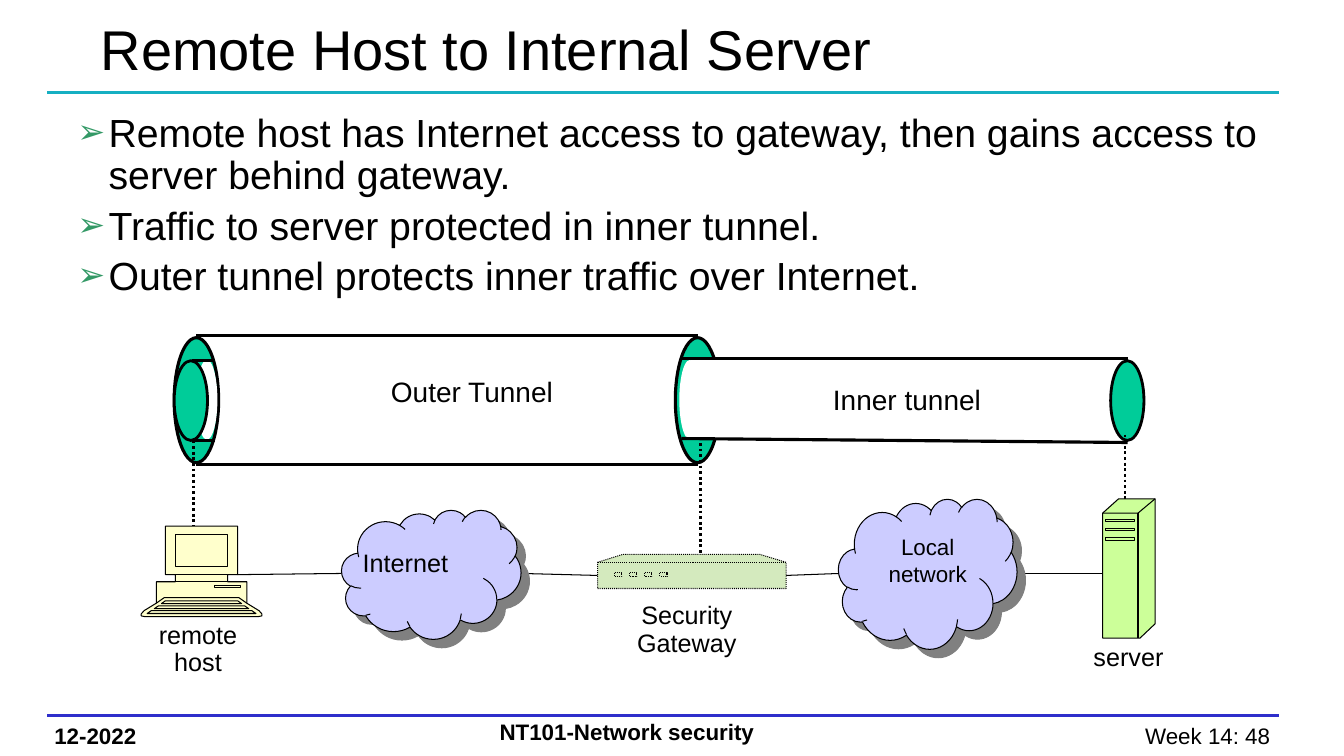
from dataclasses import dataclass

from lxml import etree
from pptx import Presentation
from pptx.dml.color import RGBColor
from pptx.enum.dml import MSO_LINE
from pptx.enum.shapes import MSO_CONNECTOR, MSO_SHAPE
from pptx.enum.text import MSO_ANCHOR, PP_ALIGN
from pptx.oxml.ns import qn
from pptx.util import Cm, Pt

LEFT, CENTER, RIGHT = PP_ALIGN.LEFT, PP_ALIGN.CENTER, PP_ALIGN.RIGHT
TOP, MIDDLE = MSO_ANCHOR.TOP, MSO_ANCHOR.MIDDLE
ELLIPSE, RECTANGLE, CLOUD = MSO_SHAPE.OVAL, MSO_SHAPE.RECTANGLE, MSO_SHAPE.CLOUD
STRAIGHT, DOTTED = MSO_CONNECTOR.STRAIGHT, MSO_LINE.ROUND_DOT

BLACK = RGBColor(0x00, 0x00, 0x00)
WHITE = RGBColor(0xFF, 0xFF, 0xFF)
TEAL = RGBColor(0x16, 0xAF, 0xC2)
BLUE = RGBColor(0x2E, 0x2E, 0xCB)
GREEN = RGBColor(0x00, 0xCC, 0x99)
BULLET_GREEN = RGBColor(0x33, 0x99, 0x66)
LILAC = RGBColor(0xCC, 0xCC, 0xFF)
SHADOW_GRAY = RGBColor(0x80, 0x80, 0x80)
CREAM = RGBColor(0xFF, 0xFF, 0xCC)
SAGE = RGBColor(0xD4, 0xEA, 0xBE)
LIME = RGBColor(0xCC, 0xFF, 0x99)

Contour = list[tuple[float, float]]


@dataclass
class Label:
    lines: list[str]
    at: tuple[float, float, float, float]
    size: int
    align: PP_ALIGN = LEFT
    bold: bool = False
    anchor: MSO_ANCHOR = TOP
    wrap: bool = True
    spacing: float = 1.0
    before: float = 0
    bullet: str = ""
    side_inset: float = 0.25


@dataclass
class Figure:
    kind: MSO_SHAPE
    at: tuple[float, float, float, float]
    fill: RGBColor
    outline: float = 0
    shadow: bool = False


@dataclass
class Line:
    start: tuple[float, float]
    end: tuple[float, float]
    weight: float
    color: RGBColor = BLACK
    dash: MSO_LINE | None = None


@dataclass
class Device:
    outline: Contour
    details: list[Contour]
    fill: RGBColor
    dash: MSO_LINE | None = None


def add_bullet(para, char: str) -> None:
    props = para._p.get_or_add_pPr()
    props.set("marL", str(Cm(2.06)))
    props.set("indent", str(Cm(-0.79)))
    color = etree.SubElement(props, qn("a:buClr"))
    etree.SubElement(color, qn("a:srgbClr"), val=str(BULLET_GREEN))
    etree.SubElement(props, qn("a:buSzPct"), val="85000")
    etree.SubElement(props, qn("a:buFont"), typeface="Arial")
    etree.SubElement(props, qn("a:buChar"), char=char)


def fill_text(frame, label: Label) -> None:
    frame.word_wrap = label.wrap
    frame.vertical_anchor = label.anchor
    frame.margin_left = frame.margin_right = Cm(label.side_inset)
    for index, line in enumerate(label.lines):
        para = frame.add_paragraph() if index else frame.paragraphs[0]
        para.text = line
        para.alignment = label.align
        para.line_spacing = label.spacing
        para.space_before = Pt(label.before)
        if label.bullet:
            add_bullet(para, label.bullet)
        para.font.name, para.font.size = "Arial", Pt(label.size)
        para.font.bold, para.font.color.rgb = label.bold, BLACK


def draw_label(page, label: Label) -> None:
    box = page.shapes.add_textbox(*map(Cm, label.at))
    fill_text(box.text_frame, label)


def draw_figure(page, figure: Figure):
    shape = page.shapes.add_shape(figure.kind, *map(Cm, figure.at))
    shape.shadow.inherit = False
    shape.fill.solid()
    shape.fill.fore_color.rgb = figure.fill
    if figure.outline:
        shape.line.color.rgb, shape.line.width = BLACK, Pt(figure.outline)
    else:
        shape.line.fill.background()
    if figure.shadow:
        effects = shape._element.spPr.find(qn("a:effectLst"))
        outer = etree.SubElement(effects, qn("a:outerShdw"), dist=str(Pt(8.5)), dir="2700000")
        etree.SubElement(outer, qn("a:srgbClr"), val=str(SHADOW_GRAY))
    return shape


def draw_line(page, line: Line) -> None:
    connector = page.shapes.add_connector(STRAIGHT, *map(Cm, line.start + line.end))
    connector.line.color.rgb, connector.line.width = line.color, Pt(line.weight)
    if line.dash:
        connector.line.dash_style = line.dash
    etree.SubElement(connector._element.spPr, qn("a:effectLst"))


def draw_contours(page, contours: list[Contour], fill: RGBColor | None, dash: MSO_LINE | None) -> None:
    scaled = [[(Cm(x), Cm(y)) for x, y in contour] for contour in contours]
    builder = page.shapes.build_freeform(*scaled[0][0])
    for index, contour in enumerate(scaled):
        if index:
            builder.move_to(*contour[0])
        builder.add_line_segments(contour[1:], close=fill is not None)
    shape = builder.convert_to_shape()
    shape.shadow.inherit = False
    if fill is None:
        shape.fill.background()
    else:
        shape.fill.solid()
        shape.fill.fore_color.rgb = fill
    shape.line.color.rgb, shape.line.width = BLACK, Pt(0.75)
    if dash:
        shape.line.dash_style = dash


def draw_device(page, device: Device) -> None:
    draw_contours(page, [device.outline], device.fill, device.dash)
    draw_contours(page, device.details, None, device.dash)


def frame_of(left: float, top: float, right: float, bottom: float) -> Contour:
    return [(left, top), (right, top), (right, bottom), (left, bottom), (left, top)]


def mirrored(half: Contour, axis: float = 5.08) -> Contour:
    return [(axis - dx, y) for dx, y in reversed(half)] + [(axis + dx, y) for dx, y in half]


def closed(contour: Contour) -> Contour:
    return contour + contour[:1]


# Title, bullets and footer
FRAME_LABELS = [
    Label(["Remote Host to Internal Server"], (2.29, 0.1, 20.4, 2.21), 40, anchor=MIDDLE),
    Label(["Remote host has Internet access to gateway, then gains access to server behind gateway.",
           "Traffic to server protected in inner tunnel.",
           "Outer tunnel protects inner traffic over Internet."],
          (0.43, 2.74, 32.11, 4.6), 28, spacing=0.9, before=5.6, bullet="➢"),
    Label(["12-2022"], (1.12, 18.06, 4.52, 0.94), 16, bold=True),
    Label(["NT101-Network security"], (12.34, 17.98, 17.07, 0.94), 16, bold=True),
    Label(["Week 14: 48"], (24.79, 18.08, 7.47, 0.94), 16, RIGHT),
]
RULES = [Line((1.19, y), (32.23, y), 2.25, color) for y, color in ((2.34, TEAL), (18.03, BLUE))]

# Tunnels, from back to front
INNER_BODY = Figure(RECTANGLE, (17.4, 9.07, 10.92, 1.98), WHITE)
TUNNELS = [
    *(Figure(ELLIPSE, (x, 8.51, 1.12, 3.15), GREEN, 2.25) for x in (4.39, 17.02)),
    INNER_BODY,
    *(Figure(ELLIPSE, (x, 9.07, 0.53, 2.01), WHITE) for x in (4.95, 17.12)),
    *(Figure(ELLIPSE, (x, 9.09, 0.84, 2.01), GREEN, 2) for x in (4.39, 27.99)),
]
INNER_LABEL = Label(["Inner tunnel"], INNER_BODY.at, 20, CENTER, anchor=MIDDLE, wrap=False)
LINES = [
    *(Line((4.83, y), (5.41, y), 2) for y in (9.09, 11.1)),
    *(Line((4.95, y), (17.6, y), 2.25) for y in (8.46, 11.71)),
    Line((28.42, 9.04), (17.17, 9.04), 2.25),
    Line((28.42, 11.15), (17.17, 11.05), 2.25),
    *(Line((x, top), (x, bottom), 2, dash=DOTTED)
      for x, top, bottom in ((4.88, 11.1, 14.53), (17.65, 11.02, 14.45), (28.35, 10.95, 13.51))),
    Line((5.99, 14.48), (8.61, 14.45), 0.75),
    Line((13.13, 14.45), (15.06, 14.5), 0.75),
    Line((21.16, 14.45), (19.81, 14.5), 0.75),
    Line((25.65, 14.45), (27.79, 14.45), 0.75),
]

# Network
CLOUDS = [Figure(CLOUD, at, LILAC, 0.75, True)
          for at in ((8.61, 12.85, 4.52, 3.25), (21.13, 12.57, 4.5, 3.78))]
HOST = Device(
    mirrored([(0.91, 13.26), (0.91, 14.48), (0.66, 14.48), (0.66, 14.66), (1.14, 14.66),
              (1.14, 15.2), (1.45, 15.39), (1.52, 15.47), (1.52, 15.52), (1.42, 15.54)]),
    [frame_of(4.42, 13.46, 5.74, 14.27), frame_of(4.42, 14.48, 5.74, 14.66),
     frame_of(5.41, 14.76, 6.07, 14.81), mirrored([(0.94, 15.06), (1.14, 15.2)]),
     *(closed(mirrored([(dx, y), (dx + 0.1, y + 0.07)]))
       for dx, y in ((0.91, 15.14), (1.09, 15.27), (1.27, 15.39)))],
    CREAM)
GATEWAY = Device(
    [(15.06, 14.17), (15.7, 13.97), (19.15, 13.97), (19.81, 14.17), (19.81, 14.83), (15.06, 14.83)],
    [[(15.06, 14.17), (19.81, 14.17)],
     *(frame_of(15.49 + 0.38 * i, 14.43, 15.67 + 0.38 * i, 14.53) for i in range(4))],
    SAGE, DOTTED)
SERVER = Device(
    [(27.79, 12.93), (28.19, 12.57), (29.11, 12.57), (29.11, 15.72), (28.73, 16.08), (27.79, 16.08)],
    [[(27.79, 12.93), (28.68, 12.93), (29.11, 12.57)], [(28.68, 12.93), (28.68, 16.08)],
     *(frame_of(27.86, 13.08 + 0.23 * i, 28.6, 13.15 + 0.23 * i) for i in range(3))],
    LIME)
DIAGRAM_LABELS = [
    Label(["Outer Tunnel"], (5.56, 9.32, 12.67, 1.5), 20, CENTER, before=10),
    Label(["Internet"], (8.89, 13.67, 3.56, 1.37), 18, wrap=False),
    Label(["Local network"], (21.41, 13.31, 3.94, 2.18), 16, CENTER, before=8, side_inset=0.5),
    *(Label(lines, (x, y, 4.5, 1.98), 18, CENTER, spacing=0.5, before=9)
      for lines, x, y in ((["remote", "host"], 2.74, 15.8), (["Security", "Gateway"], 15.06, 15.32),
                          (["server"], 26.19, 16.36))),
]


def main() -> None:
    deck = Presentation()
    deck.slide_width, deck.slide_height = Cm(33.87), Cm(19.05)
    page = deck.slides.add_slide(deck.slide_layouts[6])
    for rule in RULES:
        draw_line(page, rule)
    for figure in TUNNELS:
        shape = draw_figure(page, figure)
        if figure is INNER_BODY:
            fill_text(shape.text_frame, INNER_LABEL)
    for line in LINES:
        draw_line(page, line)
    for cloud in CLOUDS:
        draw_figure(page, cloud)
    for device in (HOST, GATEWAY, SERVER):
        draw_device(page, device)
    for label in FRAME_LABELS + DIAGRAM_LABELS:
        draw_label(page, label)
    deck.save("out.pptx")


if __name__ == "__main__":
    main()
